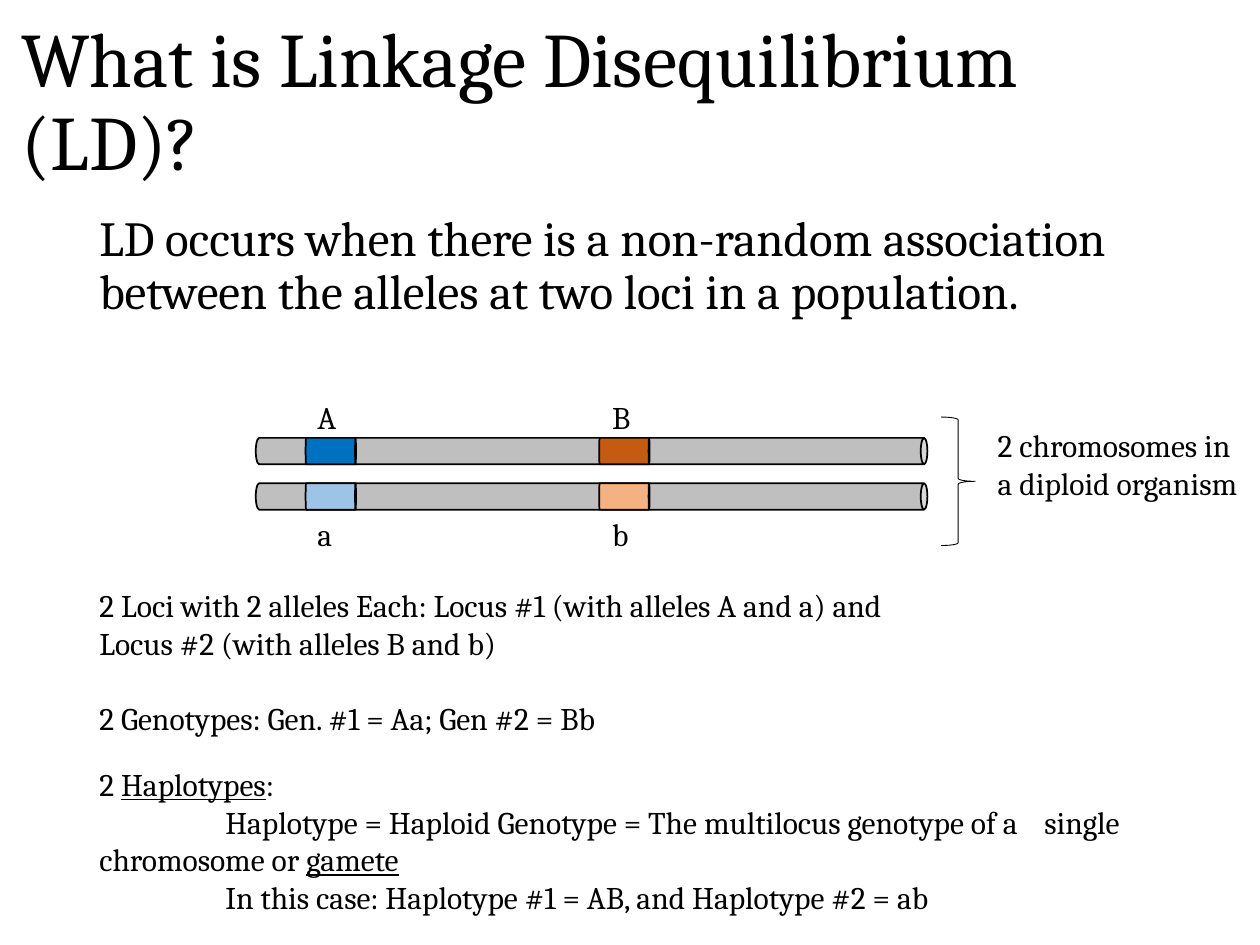
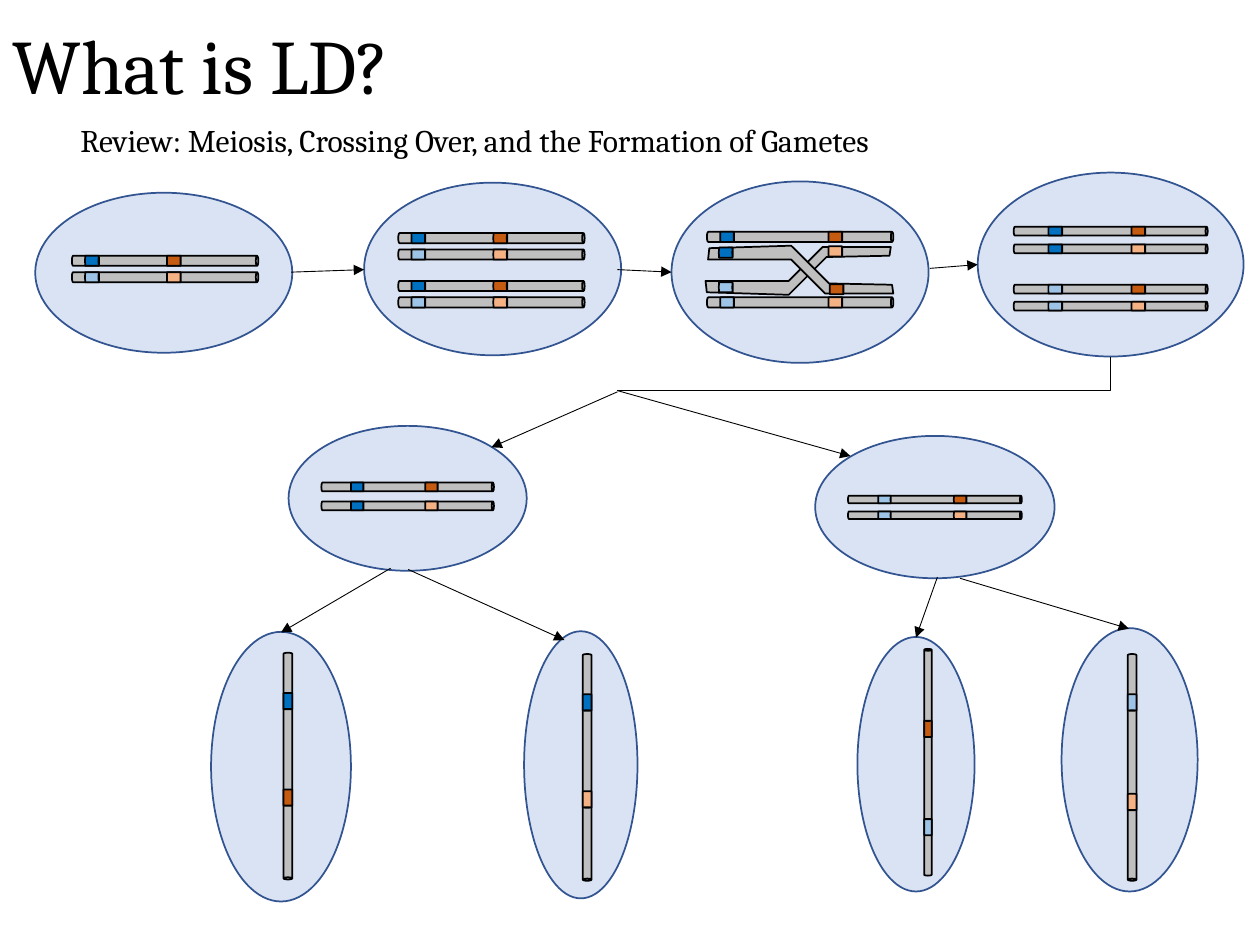
from dataclasses import dataclass
from itertools import chain
from math import cos, radians, sin

from lxml.etree import SubElement
from pptx import Presentation
from pptx.dml.color import RGBColor
from pptx.enum.shapes import MSO_CONNECTOR as LINK, MSO_SHAPE as SHAPE
from pptx.enum.text import MSO_ANCHOR as ANCHOR, MSO_AUTO_SIZE as FIT, PP_ALIGN as ALIGN
from pptx.oxml.ns import qn
from pptx.util import Inches, Pt

# The slide is a grid of 100 columns by 75 rows; every cell is a square.
COLS, ROWS = 100, 75
UNIT = Inches(10) // COLS

FONT = "Cambria"
BLACK = RGBColor(0x00, 0x00, 0x00)
GREY = RGBColor(0xBF, 0xBF, 0xBF)
CELL_FILL = RGBColor(0xDA, 0xE3, 0xF3)
CELL_LINE = RGBColor(0x32, 0x54, 0x91)
ALLELES = {
    "A": RGBColor(0x00, 0x70, 0xC0),
    "a": RGBColor(0x9D, 0xC3, 0xE6),
    "B": RGBColor(0xC5, 0x5A, 0x11),
    "b": RGBColor(0xF4, 0xB1, 0x83),
}


@dataclass
class Strands:
    """Parallel chromosomes: one per haplotype, centred on x and each y."""
    haplotypes: tuple[str, ...]
    x: float
    ys: tuple[float, ...]
    length: float
    thick: float
    loci: tuple[float, float]  # distance of each locus from the middle
    band: float
    turn: int = 90


@dataclass
class Cell:
    """An oval cell with its chromosomes."""
    box: tuple[float, float, float, float]
    strands: Strands


def grid(*values: float) -> list[int]:
    """Turn columns or rows into EMU."""
    return [round(v * UNIT) for v in values]


def write(tf, *paras: str, size: float = 18, anchor=ANCHOR.TOP,
          line: float = 1.0, gap: float = 0, indent: float = 0) -> None:
    """Fill a frame; _marks_ underline, gap and indent follow paragraph one."""
    tf.word_wrap, tf.auto_size, tf.vertical_anchor = True, FIT.NONE, anchor
    for i, para in enumerate(paras):
        p = tf.paragraphs[0] if i == 0 else tf.add_paragraph()
        p.alignment, p.line_spacing = ALIGN.LEFT, line
        if i:
            p.space_before = Pt(gap)
            p._p.get_or_add_pPr().set("indent", str(grid(indent)[0]))
        for j, part in enumerate(para.split("_")):
            if not part:
                continue
            r = p.add_run()
            r.text = part
            r.font.name, r.font.size = FONT, Pt(size)
            r.font.color.rgb = BLACK
            r.font.underline = j % 2 == 1


def add_text(s, box: tuple, *paras: str, **style) -> None:
    """Add a text box on the grid."""
    write(s.shapes.add_textbox(*grid(*box)).text_frame, *paras, **style)


def add_titled_slide(prs, title: str, box: tuple):
    """Add a title-only slide and format its title."""
    s = prs.slides.add_slide(prs.slide_layouts[5])
    sp = s.shapes.title
    sp.left, sp.top, sp.width, sp.height = grid(*box)
    write(sp.text_frame, title, size=44, anchor=ANCHOR.MIDDLE, line=0.9)
    return s


def paint(sp, fill: RGBColor | None, line: RGBColor = BLACK, width: float = 1) -> None:
    """Set fill and outline and drop the shadow."""
    sp.shadow.inherit = False
    if fill is None:
        sp.fill.background()
    else:
        sp.fill.solid()
        sp.fill.fore_color.rgb = fill
    sp.line.color.rgb = line
    sp.line.width = Pt(width)


def add_can(s, x: float, y: float, length: float, thick: float,
            fill: RGBColor, turn: int = 90, lid: float = 0.25) -> None:
    """Add a cylinder centred on x, y and turned clockwise."""
    sp = s.shapes.add_shape(
        SHAPE.CAN, *grid(x - thick / 2, y - length / 2, thick, length))
    sp.rotation = turn
    sp.adjustments[0] = lid
    paint(sp, fill)


def add_band(s, x: float, y: float, length: float, thick: float,
             allele: str, turn: int = 90) -> None:
    """Add the coloured band of one allele."""
    add_can(s, x, y, length, thick, ALLELES[allele], turn, lid=0.036)


def add_strands(s, st: Strands) -> None:
    """Draw chromosomes with a band at each locus."""
    dx, dy = sin(radians(st.turn)), -cos(radians(st.turn))
    for haplotype, y in zip(st.haplotypes, st.ys):
        add_can(s, st.x, y, st.length, st.thick, GREY, st.turn)
        for allele, d in zip(haplotype, st.loci):
            add_band(s, st.x + d * dx, y + d * dy, st.band, st.thick, allele, st.turn)


def add_cell(s, cell: Cell) -> None:
    """Draw an oval cell and its chromosomes."""
    paint(s.shapes.add_shape(SHAPE.OVAL, *grid(*cell.box)), CELL_FILL, CELL_LINE)
    add_strands(s, cell.strands)


def add_outline(s, points: list[tuple[float, float]]) -> None:
    """Draw a closed grey outline."""
    start, *rest = [tuple(grid(*pt)) for pt in points]
    fb = s.shapes.build_freeform(*start)
    fb.add_line_segments(rest, close=True)
    paint(fb.convert_to_shape(), GREY)


def add_link(s, ends: tuple, kind=LINK.STRAIGHT, arrow: bool = True):
    """Add a thin black connector, with an arrowhead unless told otherwise."""
    c = s.shapes.add_connector(kind, *grid(*ends))
    c.line.color.rgb = BLACK
    c.line.width = Pt(0.5)
    spPr = c._element.spPr
    if arrow:
        SubElement(spPr.find(qn("a:ln")), qn("a:tailEnd"), type="triangle")
    SubElement(spPr, qn("a:effectLst"))
    return c


def add_corner(s, x1: float, y1: float, x2: float, y2: float) -> None:
    """Add a one-bend connector going down from x1, y1, then left to x2, y2."""
    cx, cy = (x1 + x2) / 2, (y1 + y2) / 2
    w, h = (y2 - y1) / 2, (x1 - x2) / 2  # half sizes before the quarter turn
    c = add_link(s, (cx - w, cy - h, cx + w, cy + h), LINK.ELBOW, arrow=False)
    spPr = c._element.spPr
    spPr.find(qn("a:xfrm")).set("rot", "5400000")
    spPr.find(qn("a:prstGeom")).set("prst", "bentConnector2")


def build_definition(prs) -> None:
    """Slide 1: what LD is, with a pair of chromosomes."""
    left, wide = 6.9, 89.3
    s = add_titled_slide(prs, "What is Linkage Disequilibrium (LD)?", (0.7, 1, 92.4, 14.5))
    add_text(s, (left, 16.5, wide, 14.6),
             "LD occurs when there is a non-random association between the "
             "alleles at two loci in a population.", size=28, line=0.9)
    add_strands(s, Strands(("AB", "ab"), 46.95, (35.8, 39.4), 53.3, 2.1, (-20.7, 2.6), 4))
    for haplotype, y in (("AB", 31.1), ("ab", 40.4)):
        for allele, x in zip(haplotype, (24.2, 47.6)):
            add_text(s, (x, y, 4, 4), allele)
    add_text(s, (78.2, 33.3, 21.8, 10.1), "2 chromosomes in a diploid organism")
    paint(s.shapes.add_shape(SHAPE.RIGHT_BRACE, *grid(74.7, 33.1, 2.7, 10.2)),
          None, width=0.5)
    add_text(s, (left, 46, 65.1, 13.1),
             "2 Loci with 2 alleles Each: Locus #1 (with alleles A and a) "
             "and Locus #2 (with alleles B and b)",
             "2 Genotypes: Gen. #1 = Aa; Gen #2 = Bb", gap=21.7)
    add_text(s, (left, 60.2, wide, 13.1), "2 _Haplotypes_:",
             "Haplotype = Haploid Genotype = The multilocus genotype of a "
             "\tsingle chromosome or _gamete_",
             "In this case: Haplotype #1 = AB, and Haplotype #2 = ab", indent=10)


def build_meiosis(prs) -> None:
    """Slide 2: meiosis from one cell to four gametes."""
    s = add_titled_slide(prs, "What is LD?", (0, 0.1, 92.4, 10.8))
    add_text(s, (5.4, 9.1, 87.8, 4),
             "Review: Meiosis, Crossing Over, and the Formation of Gametes")

    early, late = (-5.8, 0.7), (-4.4, 2.2)
    start = Cell((2.8, 15.3, 20.4, 12.7), Strands(
        ("AB", "ab"), 13.1, (20.7, 22), 14.8, 0.8, early, 1.1))
    doubled = Cell((28.9, 14.5, 20.4, 13.7), Strands(
        ("AB", "ab") * 2, 39, (18.9, 20.2, 22.7, 24), 14.8, 0.8, early, 1.1))
    crossing = Cell((53.3, 14.4, 20.4, 14.4), Strands(
        ("AB", "ab"), 63.5, (18.8, 24), 14.8, 0.8, (-5.8, 2.8), 1.1))
    crossed = Cell((77.6, 13.7, 21.1, 14.6), Strands(
        ("AB", "Ab", "aB", "ab"), 88.15, (18.35, 19.75, 22.95, 24.3),
        15.4, 0.7, late, 1.1))
    divided = (
        Cell((22.9, 33.8, 18.9, 11.5), Strands(
            ("AB", "Ab"), 32.35, (38.65, 40.15), 13.7, 0.7, (-4, 1.9), 1)),
        Cell((64.7, 34.6, 19, 11.3), Strands(
            ("aB", "ab"), 74.2, (39.65, 40.9), 13.8, 0.6, (-4, 2), 1)),
    )
    gametes = [
        Cell(box, Strands((haplotype,), x, (y,), 18, thick, (-5.15, locus), 1.3, turn))
        for haplotype, box, x, y, thick, locus, turn in (
            ("AB", (16.75, 50.15, 11.1, 21.4), 22.85, 60.8, 0.7, 2.5, 180),
            ("Ab", (41.6, 50.1, 9, 21.2), 46.6, 60.9, 0.7, 2.55, 180),
            ("aB", (68.05, 50.55, 9.3, 20.2), 73.65, 60.5, 0.6, 2.65, 0),
            ("ab", (84.25, 49.85, 10.8, 20.9), 89.85, 60.9, 0.7, 2.75, 180),
        )
    ]

    for cell in (start, doubled, crossing):
        add_cell(s, cell)
    # The two inner strands cross: the second mirrors the first.
    strand = [(56, 22.3), (62.6, 22.3), (65.3, 19.6), (70.7, 19.6), (70.6, 20.3),
              (65.6, 20.4), (62.6, 23.4), (56.1, 23.2)]
    add_outline(s, strand)
    add_outline(s, [(x + 0.2, 42.9 - y) for x, y in strand])
    for allele, x, y in (("a", 57.6, 22.8), ("b", 66.3, 19.95),
                         ("A", 57.6, 20.05), ("B", 66.4, 22.95)):
        add_band(s, x, y, 1.1, 0.8, allele)
    for cell in chain((crossed,), divided, gametes):
        add_cell(s, cell)

    add_corner(s, 88.1, 28.3, 49, 31)
    for ends in (
        (23.1, 21.6, 28.9, 21.4), (49, 21.4, 53.3, 21.6), (73.8, 21.3, 77.6, 21),
        (49, 31.1, 39, 35.5), (49, 31, 67.5, 36.2),
        (31, 45.1, 22.3, 50.2), (32.4, 45.2, 44.8, 50.8),
        (74.4, 45.8, 72.7, 50.6), (76.2, 45.9, 89.6, 49.9),
    ):
        add_link(s, ends)


def main() -> None:
    """Build and save the presentation."""
    prs = Presentation()
    prs.slide_width, prs.slide_height = grid(COLS, ROWS)
    build_definition(prs)
    build_meiosis(prs)
    prs.save("out.pptx")


main()
